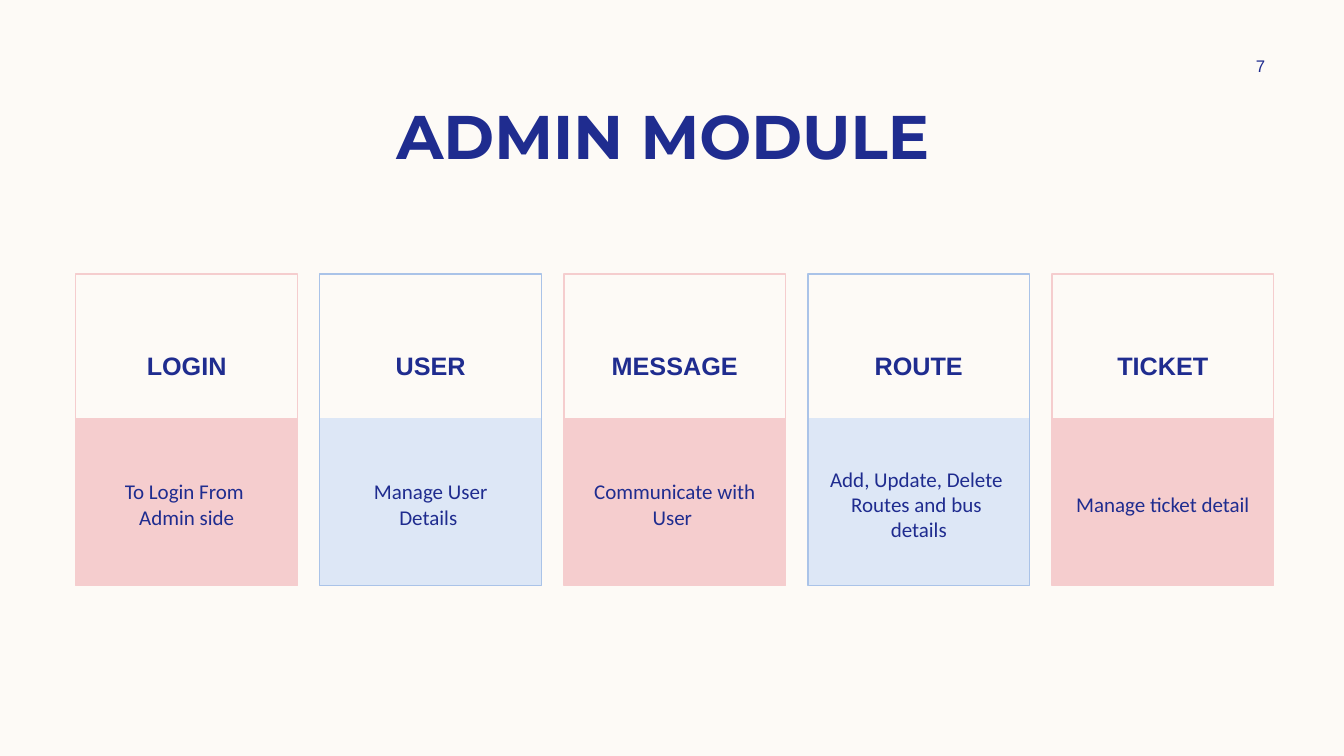
"""Builds the admin module slide with its five task cards."""
from pptx import Presentation
from pptx.dml.color import RGBColor
from pptx.enum.shapes import MSO_SHAPE
from pptx.enum.text import MSO_ANCHOR, PP_ALIGN
from pptx.util import Cm, Pt

RECT = MSO_SHAPE.RECTANGLE
TOP, MIDDLE = MSO_ANCHOR.TOP, MSO_ANCHOR.MIDDLE
CENTER = PP_ALIGN.CENTER

TITLE = "ADMIN MODULE "
NUMBER = "7"
CARDS = [
    ("LOGIN", "To Login From \nAdmin side"),
    ("USER", "Manage User\nDetails "),
    ("MESSAGE", "Communicate with\nUser "),
    ("ROUTE", "Add, Update, Delete \nRoutes and bus \ndetails"),
    ("TICKET", "Manage ticket detail"),
]
COLORS = {"paper": "FDFAF6", "ink": "1F2C8F", "rose": "F5CDCE",
          "sky": "DDE7F6", "edge": "AAC3E8"}
STYLES = [("rose", "rose"), ("sky", "edge")]

LEFT, STEP, WIDTH = 1.91, 6.15, 5.59
CARD_TOP, CARD_HIGH = 6.91, 7.85
BAND_TOP = 10.54
BAND_HIGH = CARD_TOP + CARD_HIGH - BAND_TOP
PAD = 0.13


def color(name):
    return RGBColor.from_string(COLORS[name])


def write(shape, text, font, size, bold=False, anchor=TOP):
    frame = shape.text_frame
    frame.word_wrap = True
    frame.vertical_anchor = anchor
    frame.text = text
    for para in frame.paragraphs:
        para.alignment = CENTER
        for run in para.runs:
            run.font.name = font
            run.font.size = Pt(size)
            run.font.bold = bold
            run.font.color.rgb = color("ink")


def add_text(slide, box, text, font, size, bold=False, anchor=TOP):
    shape = slide.shapes.add_textbox(*map(Cm, box))
    write(shape, text, font, size, bold, anchor)


def add_rect(slide, box, fill=None, line=None):
    shape = slide.shapes.add_shape(RECT, *map(Cm, box))
    shape.shadow.inherit = False
    if fill:
        shape.fill.solid()
        shape.fill.fore_color.rgb = color(fill)
    else:
        shape.fill.background()
    if line:
        shape.line.color.rgb = color(line)
        shape.line.width = Pt(1)
    else:
        shape.line.fill.background()
    return shape


def add_card(slide, index, head, detail):
    left = LEFT + index * STEP
    fill, edge = STYLES[index % 2]
    add_rect(slide, (left, BAND_TOP, WIDTH, BAND_HIGH), fill=fill)
    card = add_rect(slide, (left, CARD_TOP, WIDTH, CARD_HIGH), line=edge)
    card.text_frame.margin_top = Cm(1.91)
    write(card, head, "Arial", 18, bold=True)
    add_text(slide, (left + PAD, 10.8, WIDTH - 2 * PAD, 3.81),
             detail, "Calibri", 15, anchor=MIDDLE)


def main():
    deck = Presentation()
    deck.slide_width, deck.slide_height = Cm(33.87), Cm(19.05)
    slide = deck.slides.add_slide(deck.slide_layouts[6])
    slide.background.fill.solid()
    slide.background.fill.fore_color.rgb = color("paper")
    add_text(slide, (2.11, 2.34, 29.64, 2.13), TITLE, "Montserrat", 44, bold=True)
    add_text(slide, (30.4, 1.27, 2.74, 0.76), NUMBER, "Arial", 12, anchor=MIDDLE)
    for index, (head, detail) in enumerate(CARDS):
        add_card(slide, index, head, detail)
    deck.save("out.pptx")


if __name__ == "__main__":
    main()
